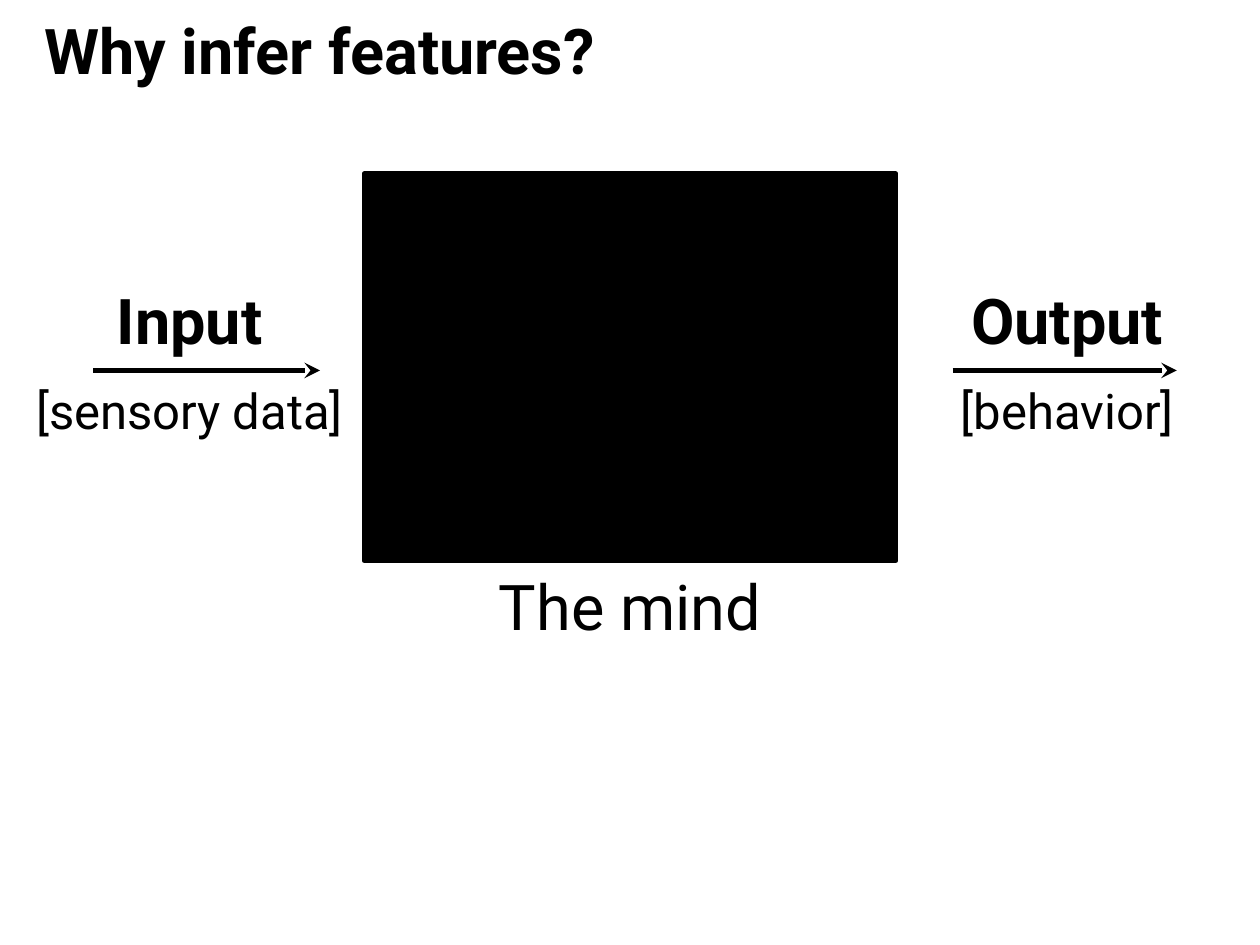
from lxml import etree
from pptx import Presentation
from pptx.dml.color import RGBColor
from pptx.enum.shapes import MSO_CONNECTOR, MSO_SHAPE
from pptx.enum.text import MSO_ANCHOR, MSO_AUTO_SIZE, PP_ALIGN
from pptx.oxml.ns import qn
from pptx.util import Inches, Pt

RECTANGLE = MSO_SHAPE.RECTANGLE
STRAIGHT = MSO_CONNECTOR.STRAIGHT
MIDDLE = MSO_ANCHOR.MIDDLE
NO_AUTOFIT = MSO_AUTO_SIZE.NONE
LEFT, CENTER = PP_ALIGN.LEFT, PP_ALIGN.CENTER

COLORS = {"ink": "000000", "paper": "FFFFFF"}
FONT = "Roboto"
WIDTH, HEIGHT = Inches(10), Inches(7.5)
COLUMNS, ROWS = 100, 75
COLUMN, ROW = WIDTH / COLUMNS, HEIGHT / ROWS
LARGE, SMALL = 36, 28


def color(name):
    return RGBColor.from_string(COLORS[name])


def grid_box(column, row, columns, rows):
    return (round(column * COLUMN), round(row * ROW),
            round(columns * COLUMN), round(rows * ROW))


def write_lines(frame, lines, align, wrap=True, spacing=1.0):
    frame.auto_size = NO_AUTOFIT
    frame.word_wrap = wrap
    frame.vertical_anchor = MIDDLE
    frame.margin_left = frame.margin_right = 0
    frame.margin_top = frame.margin_bottom = 0
    frame.text = "\n".join(words for words, size, bold in lines)
    for paragraph, (words, size, bold) in zip(frame.paragraphs, lines):
        paragraph.alignment = align
        paragraph.line_spacing = spacing
        paragraph.space_before = Pt(0)
        font = paragraph.runs[0].font
        font.name, font.size, font.bold = FONT, Pt(size), bold
        font.color.rgb = color("ink")


def place_title(slide, box, words):
    title = slide.shapes.title
    title.left, title.top, title.width, title.height = box
    write_lines(title.text_frame, [(words, LARGE, True)], LEFT)


def place_mind(slide, box, caption_box, caption):
    mind = slide.shapes.add_shape(RECTANGLE, *box)
    mind.shadow.inherit = False
    mind.fill.solid()
    mind.fill.fore_color.rgb = color("ink")
    mind.line.color.rgb = color("ink")
    mind.line.width = Pt(3)
    label = slide.shapes.add_textbox(*caption_box)
    write_lines(label.text_frame, [(caption, LARGE, False)], CENTER)


def place_flow(slide, box, arrow_box, heading, detail):
    flow = slide.shapes.add_group_shape().shapes
    label = flow.add_textbox(*box)
    lines = [(heading, LARGE, True), (detail, SMALL, False)]
    write_lines(label.text_frame, lines, CENTER, wrap=False, spacing=1.4)

    left, top, length, rise = arrow_box
    arrow = flow.add_connector(STRAIGHT, left, top, left + length, top + rise)
    arrow.line.color.rgb = color("ink")
    arrow.line.width = Pt(3)
    etree.SubElement(arrow.line._get_or_add_ln(), qn("a:tailEnd"), type="stealth")
    etree.SubElement(arrow._element.spPr, qn("a:effectLst"))


def main():
    deck = Presentation()
    deck.slide_width, deck.slide_height = WIDTH, HEIGHT
    slide = deck.slides.add_slide(deck.slide_layouts[5])
    slide.background.fill.solid()
    slide.background.fill.fore_color.rgb = color("paper")

    place_title(slide, grid_box(3.5, 0.9, 96.5, 6), "Why infer features?")
    place_mind(slide, grid_box(28.9, 13.8, 42.2, 30.7),
               grid_box(28.9, 45, 42.2, 6.1), "The mind")
    place_flow(slide, grid_box(2.7, 20, 24.7, 14.8),
               grid_box(7.4, 29.4, 18, 0), "Input", "[sensory data]")
    place_flow(slide, grid_box(76.1, 20, 17.2, 14.8),
               grid_box(75.6, 29.4, 17.8, 0), "Output", "[behavior]")
    deck.save("out.pptx")


if __name__ == "__main__":
    main()
